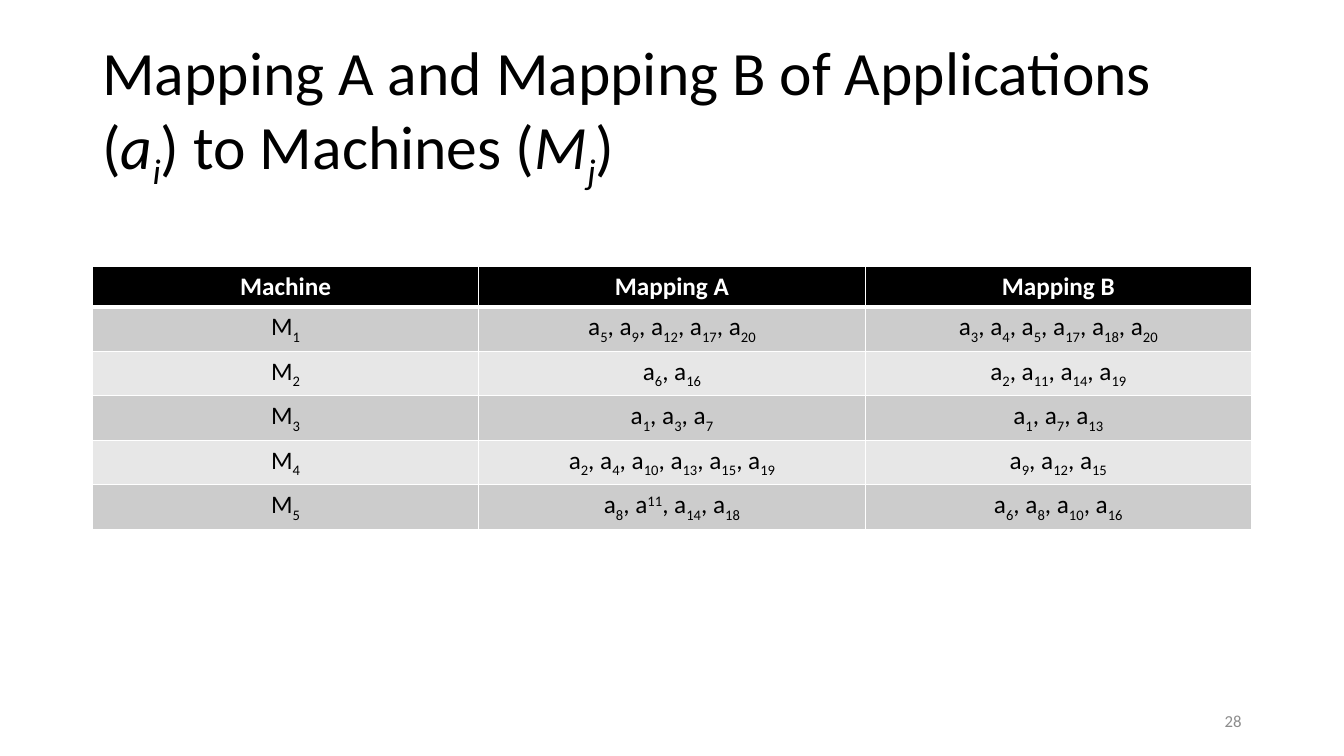
import pptx
import pptx.dml.color
import pptx.enum.text
import pptx.oxml
import pptx.oxml.ns
import pptx.util

Pt = pptx.util.Pt
ALIGN = pptx.enum.text.PP_ALIGN
FONT = "Calibri"
SUBSCRIPT, SUPERSCRIPT = -25, 30

TITLE = [
    ("Mapping A and Mapping B of Applications (", False, 0),
    ("a", True, 0), ("i", True, SUBSCRIPT),
    (") to Machines (", False, 0),
    ("M", True, 0), ("j", True, SUBSCRIPT),
    (")", False, 0),
]
HEADERS = ["Machine", "Mapping A", "Mapping B"]
MACHINES = [
    ("M_1", "a_5 a_9 a_12 a_17 a_20", "a_3 a_4 a_5 a_17 a_18 a_20"),
    ("M_2", "a_6 a_16", "a_2 a_11 a_14 a_19"),
    ("M_3", "a_1 a_3 a_7", "a_1 a_7 a_13"),
    ("M_4", "a_2 a_4 a_10 a_13 a_15 a_19", "a_9 a_12 a_15"),
    ("M_5", "a_8 a^11 a_14 a_18", "a_6 a_8 a_10 a_16"),
]
PAGE_NUMBER = "28"

TABLE_LEFT, TABLE_TOP, TABLE_WIDTH = 66, 190, 828
ROW_HEIGHT = 29.2
HEADER_FILL, BAND_FILLS = "000000", ("CCCCCC", "E7E7E7")


def color(hex_value):
    return pptx.dml.color.RGBColor.from_string(hex_value)


def add_run(paragraph, text, size, hex_value, bold=False, italic=False, baseline=0):
    run = paragraph.add_run()
    run.text = text
    run.font.name = FONT
    run.font.size = Pt(size)
    run.font.bold = bold
    run.font.italic = italic
    run.font.color.rgb = color(hex_value)
    if baseline:
        run.font._element.set("baseline", str(baseline * 1000))


def add_text_box(slide, left, top, width, height):
    frame = slide.shapes.add_textbox(Pt(left), Pt(top), Pt(width), Pt(height)).text_frame
    frame.word_wrap = True
    frame.vertical_anchor = pptx.enum.text.MSO_ANCHOR.MIDDLE
    return frame.paragraphs[0]


def add_terms(paragraph, terms):
    for position, term in enumerate(terms.split()):
        raised = "^" in term
        symbol, index = term.split("^" if raised else "_")
        add_run(paragraph, (", " if position else "") + symbol, 18, "000000")
        add_run(paragraph, index, 18, "000000", baseline=SUPERSCRIPT if raised else SUBSCRIPT)


def style_cell(cell, fill, widths):
    properties = cell._tc.get_or_add_tcPr()
    for side, width in widths.items():
        properties.append(pptx.oxml.parse_xml(
            f'<a:{side} {pptx.oxml.ns.nsdecls("a")} w="{Pt(width)}">'
            f'<a:solidFill><a:srgbClr val="FFFFFF"/></a:solidFill></a:{side}>'))
    cell.fill.solid()
    cell.fill.fore_color.rgb = color(fill)


def add_mapping_table(slide):
    row_count, column_count = len(MACHINES) + 1, len(HEADERS)
    table = slide.shapes.add_table(
        row_count, column_count, Pt(TABLE_LEFT), Pt(TABLE_TOP),
        Pt(TABLE_WIDTH), Pt(ROW_HEIGHT * row_count)).table
    for row_index, content in enumerate([HEADERS, *MACHINES]):
        is_header = row_index == 0
        fill = HEADER_FILL if is_header else BAND_FILLS[(row_index - 1) % 2]
        widths = {"lnL": 1, "lnR": 1, "lnT": 3 if row_index == 1 else 1, "lnB": 3 if is_header else 1}
        for column_index, text in enumerate(content):
            cell = table.cell(row_index, column_index)
            style_cell(cell, fill, widths)
            paragraph = cell.text_frame.paragraphs[0]
            paragraph.alignment = ALIGN.CENTER
            if is_header:
                add_run(paragraph, text, 18, "FFFFFF", bold=True)
            else:
                add_terms(paragraph, text)


def main():
    presentation = pptx.Presentation()
    presentation.slide_width, presentation.slide_height = Pt(960), Pt(540)
    slide = presentation.slides.add_slide(presentation.slide_layouts[6])

    title = add_text_box(slide, 66, 28.75, 828, 104.4)
    title.line_spacing = 0.9
    for text, italic, baseline in TITLE:
        add_run(title, text, 44, "000000", italic=italic, baseline=baseline)

    add_mapping_table(slide)

    number = add_text_box(slide, 678, 500.5, 216, 28.75)
    number.alignment = ALIGN.RIGHT
    add_run(number, PAGE_NUMBER, 12, "8C8C8C")

    presentation.save("out.pptx")


if __name__ == "__main__":
    main()
